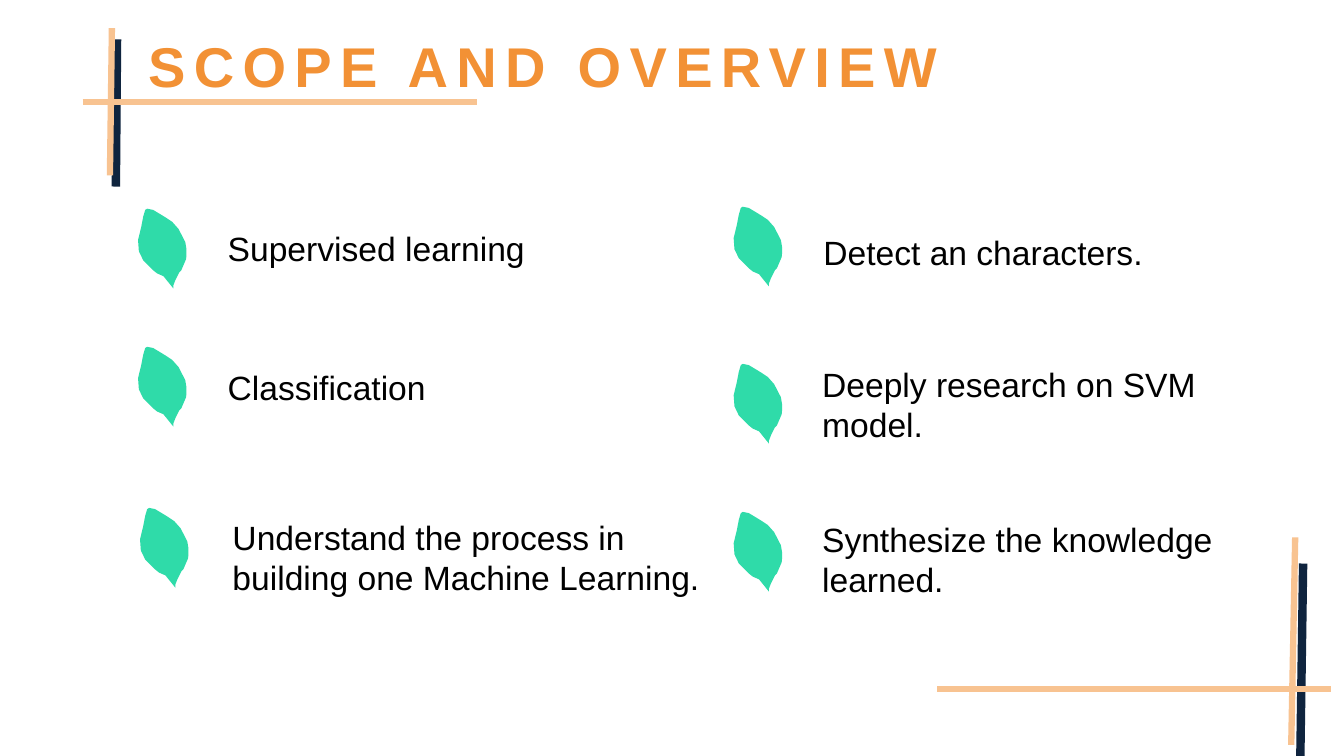
"""Builds the scope and overview slide with leaf markers and corner lines."""
from dataclasses import dataclass

from lxml.etree import SubElement
from pptx import Presentation
from pptx.dml.color import RGBColor as Rgb
from pptx.enum.shapes import MSO_CONNECTOR as Connector
from pptx.enum.text import MSO_ANCHOR as Anchor, MSO_AUTO_SIZE as AutoSize, PP_ALIGN as Align
from pptx.oxml.ns import qn
from pptx.util import Cm, Pt


@dataclass(frozen=True)
class Theme:
    font: str = "Arial"
    title: Rgb = Rgb(0xF2, 0x91, 0x35)
    body: Rgb = Rgb(0, 0, 0)
    leaf: Rgb = Rgb(0x2F, 0xDB, 0xA9)
    navy: Rgb = Rgb(0x0F, 0x24, 0x3E)
    peach: Rgb = Rgb(0xF8, 0xC3, 0x91)
    title_size: float = 40
    body_size: float = 24
    title_tracking: int = 600
    thin: float = 4.5
    thick: float = 6


LEAF_OUTLINE = [
    (119, 84), (102, 51), (86, 33), (71, 23), (58, 15), (38, 3), (23, 0), (18, 3),
    (13, 20), (8, 46), (0, 79), (2, 107), (13, 130), (38, 155), (48, 163), (64, 170),
    (89, 201), (89, 193), (94, 180), (104, 160), (109, 155), (121, 127), (122, 117), (122, 102),
]

TOPICS = [
    ("Supervised learning", (3.48, 5.26), (5.49, 5.61, 8.08, 1.27), False),
    ("Classification", (3.48, 8.74), (5.49, 9.12, 5.56, 1.27), False),
    ("Understand the process in building one Machine Learning.",
     (3.53, 12.8), (5.61, 12.9, 13.26, 2.31), True),
    ("Detect an characters.", (18.49, 5.21), (20.5, 5.72, 12.07, 1.27), True),
    ("Deeply research on SVM model.", (18.49, 9.17), (20.47, 9.04, 12.07, 2.31), True),
    ("Synthesize the knowledge learned.", (18.49, 12.9), (20.47, 12.95, 10.36, 2.31), True),
]

NAVY_LINES = [(2.95, 0.99, 2.92, 4.7), (32.84, 14.2, 32.77, 19.05)]
PEACH_LINES = [
    (2.08, 2.57, 12.01, 2.57), (2.82, 0.71, 2.77, 4.42),
    (23.62, 17.37, 33.55, 17.37), (32.64, 13.54, 32.54, 18.77),
]


class SlideBuilder:
    def __init__(self, slide, theme):
        self.slide = slide
        self.theme = theme

    @staticmethod
    def apply(target, formats):
        for name, value in formats.items():
            setattr(target, name, value)

    def fill_text(self, holder, text, size, color, wrap, bold=False):
        frame = holder.text_frame
        self.apply(frame, {"word_wrap": wrap, "auto_size": AutoSize.SHAPE_TO_FIT_TEXT,
                           "vertical_anchor": Anchor.TOP})
        paragraph = frame.paragraphs[0]
        self.apply(paragraph, {"alignment": Align.LEFT, "line_spacing": 1.0,
                               "space_before": Pt(0)})
        run = paragraph.add_run()
        run.text = text
        self.apply(run.font, {"name": self.theme.font, "size": Pt(size), "bold": bold})
        run.font.color.rgb = color
        return run

    def title(self, text, box):
        heading = self.slide.shapes.title
        left, top, width, height = map(Cm, box)
        self.apply(heading, {"left": left, "top": top, "width": width, "height": height})
        run = self.fill_text(heading, text, self.theme.title_size, self.theme.title, False, True)
        run._r.get_or_add_rPr().set("spc", str(self.theme.title_tracking))

    def topic(self, text, box, wrap):
        label = self.slide.shapes.add_textbox(*map(Cm, box))
        self.fill_text(label, text, self.theme.body_size, self.theme.body, wrap)

    def leaf(self, left, top):
        outline = self.slide.shapes.build_freeform(*LEAF_OUTLINE[0], scale=Cm(0.01))
        outline.add_line_segments(LEAF_OUTLINE[1:], close=True)
        leaf = outline.convert_to_shape(Cm(left), Cm(top))
        leaf.fill.solid()
        leaf.fill.fore_color.rgb = self.theme.leaf
        leaf.line.fill.background()
        leaf.shadow.inherit = False

    def line(self, ends, color, weight):
        stroke = self.slide.shapes.add_connector(Connector.STRAIGHT, *map(Cm, ends))
        stroke.line.color.rgb = color
        stroke.line.width = Pt(weight)
        SubElement(stroke._element.spPr, qn("a:effectLst"))


def main():
    deck = Presentation()
    deck.slide_width, deck.slide_height = Cm(33.87), Cm(19.05)
    theme = Theme()
    builder = SlideBuilder(deck.slides.add_slide(deck.slide_layouts[5]), theme)
    builder.title("SCOPE AND OVERVIEW", (3.48, 0.66, 20.8, 1.96))
    for ends in NAVY_LINES:
        builder.line(ends, theme.navy, theme.thick)
    for ends in PEACH_LINES:
        builder.line(ends, theme.peach, theme.thin)
    for text, leaf_corner, text_box, wrap in TOPICS:
        builder.leaf(*leaf_corner)
        builder.topic(text, text_box, wrap)
    deck.save("out.pptx")


if __name__ == "__main__":
    main()
